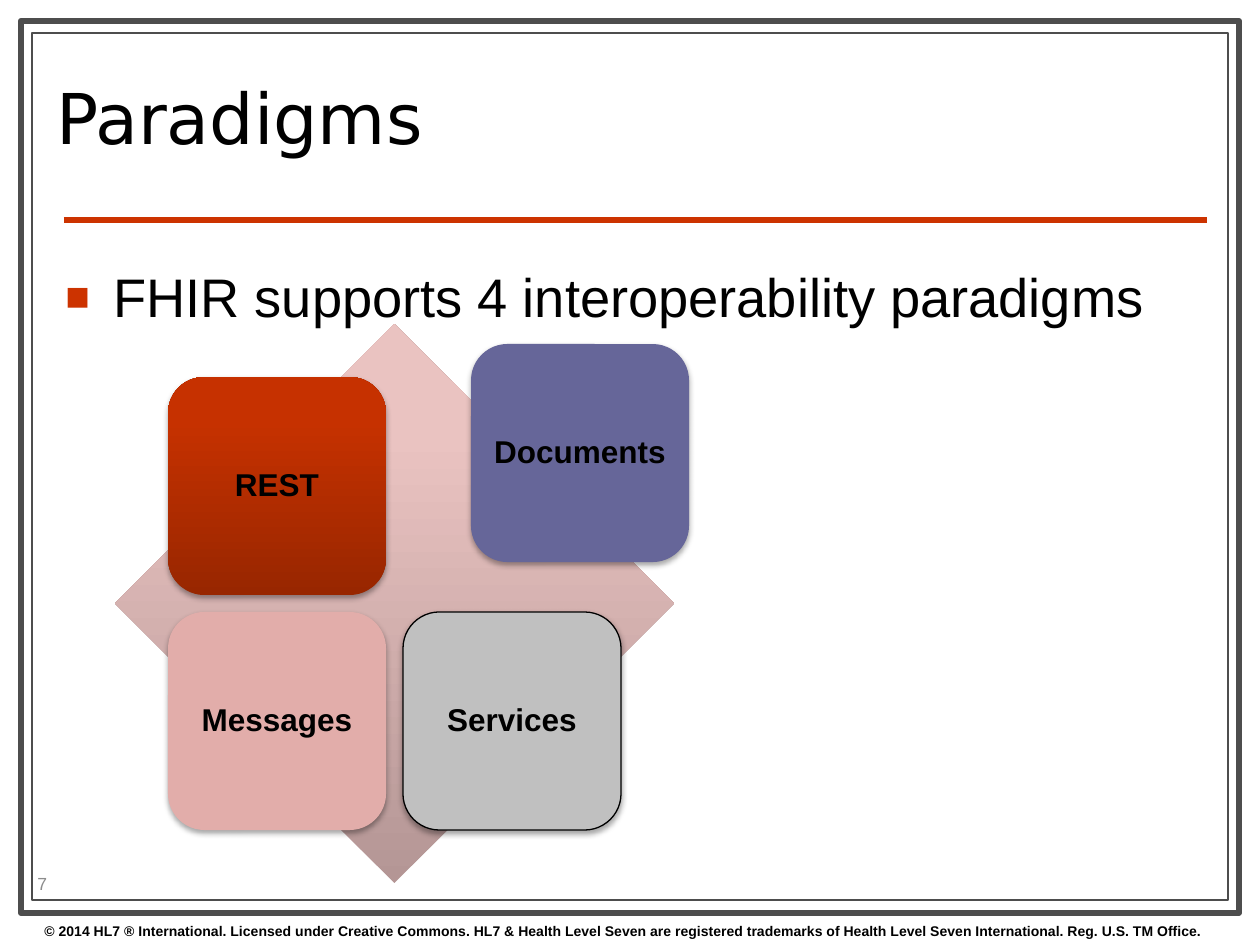
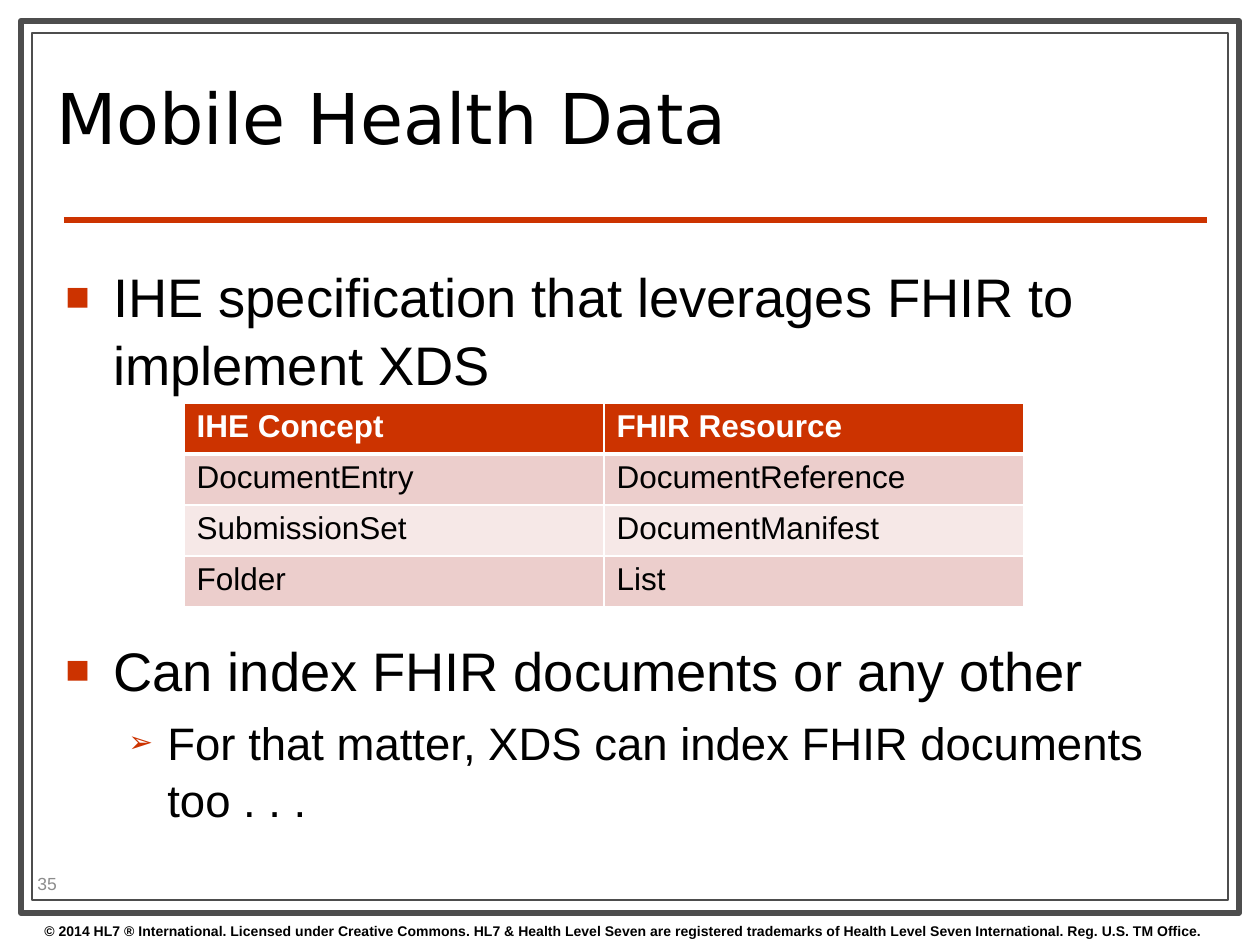
from copy import deepcopy
from dataclasses import dataclass

from lxml import etree
from pptx import Presentation
from pptx.dml.color import RGBColor
from pptx.enum.shapes import MSO_CONNECTOR, MSO_SHAPE
from pptx.enum.text import MSO_ANCHOR, PP_ALIGN
from pptx.oxml.ns import qn
from pptx.util import Emu, Pt

# Enum members
RECT = MSO_SHAPE.RECTANGLE
ROUND = MSO_SHAPE.ROUNDED_RECTANGLE
GEM = MSO_SHAPE.DIAMOND
LINE = MSO_CONNECTOR.STRAIGHT
TOP, MID = MSO_ANCHOR.TOP, MSO_ANCHOR.MIDDLE
LEFT, CENTER = PP_ALIGN.LEFT, PP_ALIGN.CENTER

# Colours
BLACK = RGBColor(0x00, 0x00, 0x00)
WHITE = RGBColor(0xFF, 0xFF, 0xFF)
FRAME = RGBColor(0x4D, 0x4D, 0x4D)
RED = RGBColor(0xCC, 0x33, 0x00)
GREY = RGBColor(0x8C, 0x8C, 0x8C)
BLUE = RGBColor(0x66, 0x66, 0x99)
PINK = RGBColor(0xE2, 0xAD, 0xAA)
SILVER = RGBColor(0xC0, 0xC0, 0xC0)
ROSE = RGBColor(0xEC, 0xCE, 0xCC)
PALE = RGBColor(0xF6, 0xE8, 0xE7)
# Stops at 0, 80 and 100 percent, from the bottom up
STOPS = (0, 0.8, 1)
FADE_PINK = (RGBColor(0xB4, 0x96, 0x95), RGBColor(0xEA, 0xC3, 0xC1),
             RGBColor(0xEC, 0xC3, 0xC1))
FADE_RED = (RGBColor(0x98, 0x26, 0x00), RGBColor(0xC6, 0x31, 0x00),
            RGBColor(0xC7, 0x32, 0x00))

LEGAL = ("© 2014 HL7 ® International. Licensed under Creative Commons. "
         "HL7 & Health Level Seven are registered trademarks of "
         "Health Level Seven International. Reg. U.S. TM Office.")


@dataclass(frozen=True)
class Box:
    x: int
    y: int
    w: int
    h: int

    def emu(self) -> tuple:
        return px(self.x), px(self.y), px(self.w), px(self.h)


@dataclass(frozen=True)
class Style:
    size: int
    color: RGBColor = BLACK
    name: str = "Arial"
    bold: bool = False


@dataclass(frozen=True)
class Level:
    style: Style
    mark: str
    scale: int
    left: int
    hang: int


@dataclass(frozen=True)
class Point:
    text: str
    level: Level
    gap: int = 0


@dataclass(frozen=True)
class Card:
    text: str
    x: int
    y: int
    fill: object
    edge: object = None


TITLE = Style(40, name="DejaVu Sans")
NOTE = Style(8, bold=True)
PAGE = Style(10, GREY)
LABEL = Style(18, bold=True)
HEAD = Style(18, WHITE, bold=True)
CELL = Style(18)
MAIN = Level(Style(31), "■", 75, 48, 48)
SUB = Level(Style(26), "➢", 65, 102, 39)

# Slide 1 parts
SIDE = 218
DIAMOND = Box(115, 324, 559, 559)
CARDS = (
    Card("REST", 168, 377, FADE_RED),
    Card("Documents", 471, 344, BLUE),
    Card("Messages", 168, 612, PINK),
    Card("Services", 403, 612, SILVER, BLACK),
)

# Slide 2 parts
ROWS = (
    ("IHE Concept", "FHIR Resource"),
    ("DocumentEntry", "DocumentReference"),
    ("SubmissionSet", "DocumentManifest"),
    ("Folder", "List"),
)
GRID = Box(184, 403, 840, 204)


def px(n: int) -> Emu:
    return Emu(round(n * 914400 / 126))


def add(root, tag: str, **attrs):
    return etree.SubElement(root, qn(tag), attrs)


def write(para, text: str, style: Style) -> None:
    run = para.add_run()
    run.text = text
    form = {"size": Pt(style.size), "name": style.name, "bold": style.bold}
    for key, val in form.items():
        setattr(run.font, key, val)
    run.font.color.rgb = style.color


def paint(shape, fill) -> None:
    """Fill with one colour, or with a fade of three."""
    if isinstance(fill, RGBColor):
        shape.fill.solid()
        shape.fill.fore_color.rgb = fill
        return
    shape.fill.gradient()
    shape.fill.gradient_angle = 90
    stops = shape._element.spPr.find(qn("a:gradFill")).find(qn("a:gsLst"))
    stops.append(deepcopy(stops[0]))
    for stop, spot, color in zip(shape.fill.gradient_stops, STOPS, fill):
        stop.position = spot
        stop.color.rgb = color


def draw(slide, kind, box: Box, fill, edge=None, width: float = 0.75):
    shape = slide.shapes.add_shape(kind, *box.emu())
    shape.shadow.inherit = False
    paint(shape, fill)
    if edge is None:
        shape.line.fill.background()
    else:
        shape.line.color.rgb = edge
        shape.line.width = Pt(width)
    return shape


def shade(shape) -> None:
    """Cast a soft shadow straight down."""
    root = shape._element.spPr.find(qn("a:effectLst"))
    cast = add(root, "a:outerShdw", blurRad="40000", dist="23000",
               dir="5400000", rotWithShape="0")
    tone = add(cast, "a:srgbClr", val=str(BLACK))
    add(tone, "a:alpha", val="35000")


def frame(slide, box: Box, anchor=TOP):
    text = slide.shapes.add_textbox(*box.emu()).text_frame
    text.word_wrap = True
    text.vertical_anchor = anchor
    return text


def label(slide, box: Box, text: str, style: Style, anchor=TOP,
          space: float = 1) -> None:
    para = frame(slide, box, anchor).paragraphs[0]
    para.line_spacing = space
    write(para, text, style)


def base(deck, title: str, page: int):
    """Add a slide with frame, rule, footer, title and page number."""
    slide = deck.slides.add_slide(deck.slide_layouts[6])
    draw(slide, RECT, Box(21, 21, 1218, 892), WHITE, FRAME, 3.5)
    draw(slide, RECT, Box(32, 33, 1196, 867), WHITE, FRAME)
    rule = slide.shapes.add_connector(LINE, px(64), px(220), px(1207), px(220))
    rule.line.color.rgb = RED
    rule.line.width = Pt(3)
    add(rule._element.spPr, "a:effectLst")
    label(slide, Box(32, 916, 1228, 29), LEGAL, NOTE)
    label(slide, Box(44, 45, 903, 159), title, TITLE, MID, 0.8)
    label(slide, Box(25, 868, 100, 30), str(page), PAGE, MID)
    return slide


def body(slide, points: tuple) -> None:
    text = frame(slide, Box(53, 255, 1155, 617))
    for i, point in enumerate(points):
        para = text.add_paragraph() if i else text.paragraphs[0]
        level = point.level
        prop = para._p.get_or_add_pPr()
        prop.set("marL", str(px(level.left)))
        prop.set("indent", str(-px(level.hang)))
        tone = add(prop, "a:buClr")
        add(tone, "a:srgbClr", val=str(RED))
        add(prop, "a:buSzPct", val=str(level.scale * 1000))
        add(prop, "a:buFont", typeface="Arial")
        add(prop, "a:buChar", char=level.mark)
        para.line_spacing = 1.04
        if point.gap:
            para.space_before = Pt(point.gap)
        write(para, point.text, level.style)


def card(slide, item: Card) -> None:
    box = Box(item.x, item.y, SIDE, SIDE)
    shape = draw(slide, ROUND, box, item.fill, item.edge)
    shade(shape)
    text = shape.text_frame
    form = {"margin_left": 0, "margin_right": 0, "vertical_anchor": MID,
            "word_wrap": True}
    for key, val in form.items():
        setattr(text, key, val)
    para = text.paragraphs[0]
    para.alignment = CENTER
    para.line_spacing = 0.9
    write(para, item.text, LABEL)


def edges(cell, low: int) -> None:
    """Draw white cell borders; low is the width of the bottom one."""
    prop = cell._tc.get_or_add_tcPr()
    sides = {"a:lnL": 1, "a:lnR": 1, "a:lnT": 1, "a:lnB": low}
    for i, (tag, width) in enumerate(sides.items()):
        line = etree.Element(qn(tag), w=str(Pt(width)))
        add(add(line, "a:solidFill"), "a:srgbClr", val=str(WHITE))
        prop.insert(i, line)


def table(slide) -> None:
    grid = slide.shapes.add_table(len(ROWS), len(ROWS[0]), *GRID.emu()).table
    for r, row in enumerate(ROWS):
        fill = RED if r == 0 else ROSE if r % 2 else PALE
        for c, text in enumerate(row):
            cell = grid.cell(r, c)
            cell.fill.solid()
            cell.fill.fore_color.rgb = fill
            edges(cell, 1 if r else 3)
            para = cell.text_frame.paragraphs[0]
            para.alignment = LEFT
            write(para, text, CELL if r else HEAD)


def main() -> None:
    deck = Presentation()
    deck.slide_width, deck.slide_height = px(1260), px(945)

    # Slide 1: four cards on a diamond
    slide = base(deck, "Paradigms", 7)
    body(slide, (Point("FHIR supports 4 interoperability paradigms", MAIN),))
    draw(slide, GEM, DIAMOND, FADE_PINK)
    for item in CARDS:
        card(slide, item)

    # Slide 2: points around a table
    slide = base(deck, "Mobile Health Data", 35)
    body(slide, (
        Point("IHE specification that leverages FHIR to implement XDS", MAIN),
        Point("Can index FHIR documents or any other", MAIN, 136),
        Point("For that matter, XDS can index FHIR documents too . . .",
              SUB, 6),
    ))
    table(slide)

    deck.save("out.pptx")


if __name__ == "__main__":
    main()
